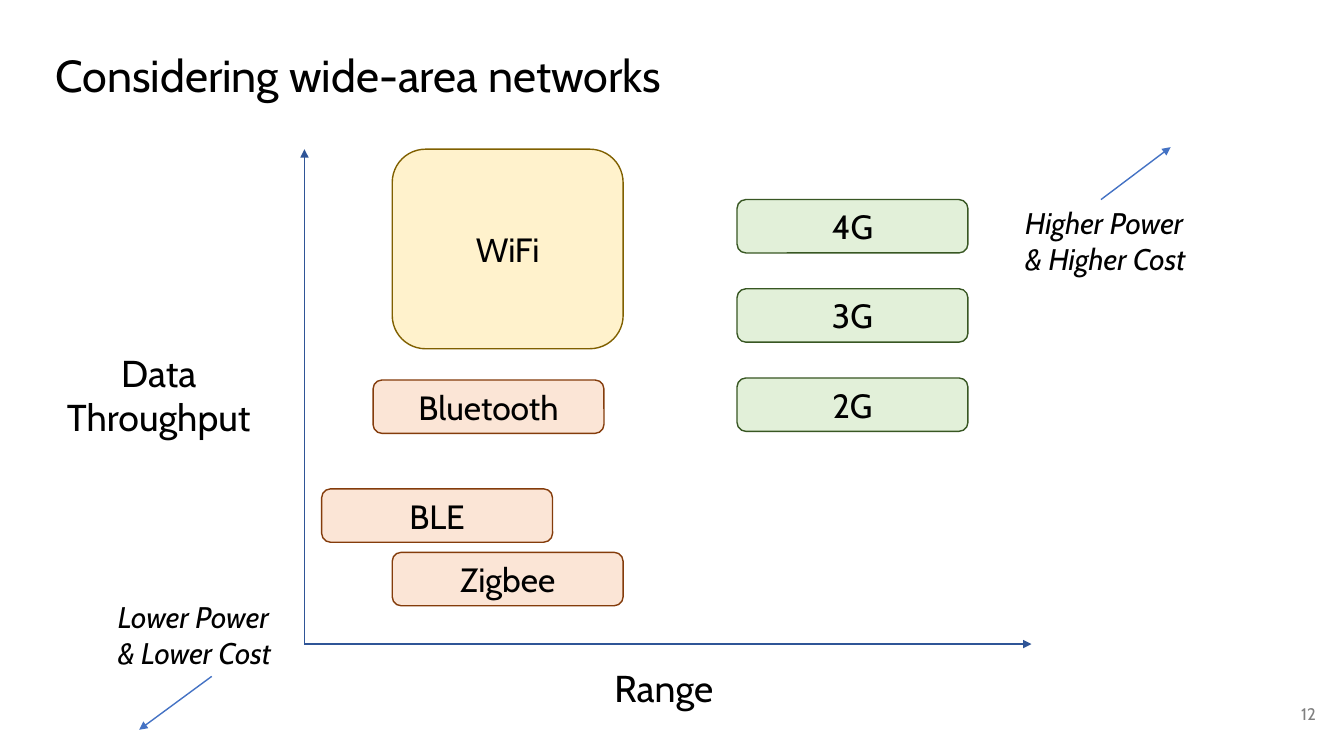
import pptx
import pptx.dml.color
import pptx.enum.shapes
import pptx.enum.text
import pptx.oxml
import pptx.oxml.ns
import pptx.util
from pptx.util import Inches

FONT = "Cabin"
ANCHOR = pptx.enum.text.MSO_ANCHOR
ALIGN = pptx.enum.text.PP_ALIGN

# Fill and line of each network family
LOCAL = ("FBE5D6", "843C0B")
WIFI = ("FFF2CC", "806000")
CELLULAR = ("E2F0D9", "385723")
AXIS_BLUE = "2F5597"
TREND_BLUE = "4472C4"

BOX_WIDTH, BOX_HEIGHT = 2.29, 0.53


def colour(hex_string):
    return pptx.dml.color.RGBColor.from_string(hex_string)


def write_text(frame, text, size=24, hex_colour="000000", italic=False,
               align=ALIGN.LEFT, anchor=ANCHOR.TOP, inset=(0.1, 0.05), spacing=None):
    """Fill a text frame; a newline starts a paragraph, a vertical tab a line."""
    frame.word_wrap = True
    frame.auto_size = pptx.enum.text.MSO_AUTO_SIZE.NONE
    frame.vertical_anchor = anchor
    frame.margin_left = frame.margin_right = Inches(inset[0])
    frame.margin_top = frame.margin_bottom = Inches(inset[1])
    frame.text = text
    for paragraph in frame.paragraphs:
        paragraph.alignment = align
        if spacing:
            paragraph.line_spacing = spacing
        for run in paragraph.runs:
            run.font.name = FONT
            run.font.size = pptx.util.Pt(size)
            run.font.italic = italic
            run.font.color.rgb = colour(hex_colour)


def add_title(slide, text):
    title = slide.shapes.title
    title.left, title.top = Inches(0.45), Inches(0.43)
    title.width, title.height = Inches(12.42), Inches(0.84)
    write_text(title.text_frame, text, size=32, inset=(0.1, 0.1), spacing=0.9)


def add_label(slide, text, left, top, width, height, **text_format):
    label = slide.shapes.add_textbox(Inches(left), Inches(top), Inches(width), Inches(height))
    write_text(label.text_frame, text, **text_format)


def add_network(slide, name, left, top, palette, height=BOX_HEIGHT):
    network = slide.shapes.add_shape(
        pptx.enum.shapes.MSO_SHAPE.ROUNDED_RECTANGLE,
        Inches(left), Inches(top), Inches(BOX_WIDTH), Inches(height))
    fill, line = palette
    network.shadow.inherit = False
    network.fill.solid()
    network.fill.fore_color.rgb = colour(fill)
    network.line.color.rgb = colour(line)
    network.line.width = pptx.util.Pt(1)
    write_text(network.text_frame, name, align=ALIGN.CENTER, anchor=ANCHOR.MIDDLE)


def add_arrow(slide, start, end, hex_colour):
    arrow = slide.shapes.add_connector(
        pptx.enum.shapes.MSO_CONNECTOR.STRAIGHT,
        *(Inches(value) for value in (*start, *end)))
    arrow.line.color.rgb = colour(hex_colour)
    arrow.line.width = pptx.util.Pt(1)
    namespace = pptx.oxml.ns.nsdecls("a")
    arrow.line._get_or_add_ln().append(
        pptx.oxml.parse_xml(f'<a:tailEnd {namespace} type="triangle"/>'))
    arrow._element.spPr.append(pptx.oxml.parse_xml(f"<a:effectLst {namespace}/>"))


def main():
    deck = pptx.Presentation()
    deck.slide_width, deck.slide_height = Inches(13.33), Inches(7.5)
    slide = deck.slides.add_slide(deck.slide_layouts.get_by_name("Title Only"))

    # Title and page number
    add_title(slide, "Considering wide-area networks")
    add_label(slide, "12", 12.35, 6.8, 0.8, 0.57, size=12, hex_colour="808080",
              align=ALIGN.RIGHT, anchor=ANCHOR.MIDDLE, inset=(0.1, 0.1))

    # Axes
    axis_origin = (3.02, 6.39)
    add_arrow(slide, axis_origin, (3.02, 1.48), AXIS_BLUE)
    add_arrow(slide, axis_origin, (10.23, 6.39), AXIS_BLUE)
    add_label(slide, "Data\nThroughput", 0.45, 3.42, 2.25, 1, size=26.7, align=ALIGN.CENTER)
    add_label(slide, "Range", 5.58, 6.55, 2.01, 0.55, size=26.7, align=ALIGN.CENTER)

    # Short-range networks
    add_network(slide, "WiFi", 3.89, 1.48, WIFI, height=1.98)
    for name, left, top in (("Bluetooth", 3.7, 3.77), ("BLE", 3.19, 4.85),
                            ("Zigbee", 3.89, 5.48)):
        add_network(slide, name, left, top, LOCAL)

    # Cellular generations, evenly stacked
    for row, generation in enumerate(("4G", "3G", "2G")):
        add_network(slide, generation, 7.31, 1.98 + row * 0.885, CELLULAR)

    # Power and cost trends
    add_arrow(slide, (2.1, 6.71), (1.38, 7.24), TREND_BLUE)
    add_label(slide, "Lower Power\v& Lower Cost", 1.07, 5.89, 2.03, 0.82,
              size=21.3, italic=True)
    add_arrow(slide, (10.92, 1.98), (11.61, 1.46), TREND_BLUE)
    add_label(slide, "Higher Power\v& Higher Cost", 10.07, 1.98, 2.16, 0.82,
              size=21.3, italic=True)

    deck.save("out.pptx")


if __name__ == "__main__":
    main()
